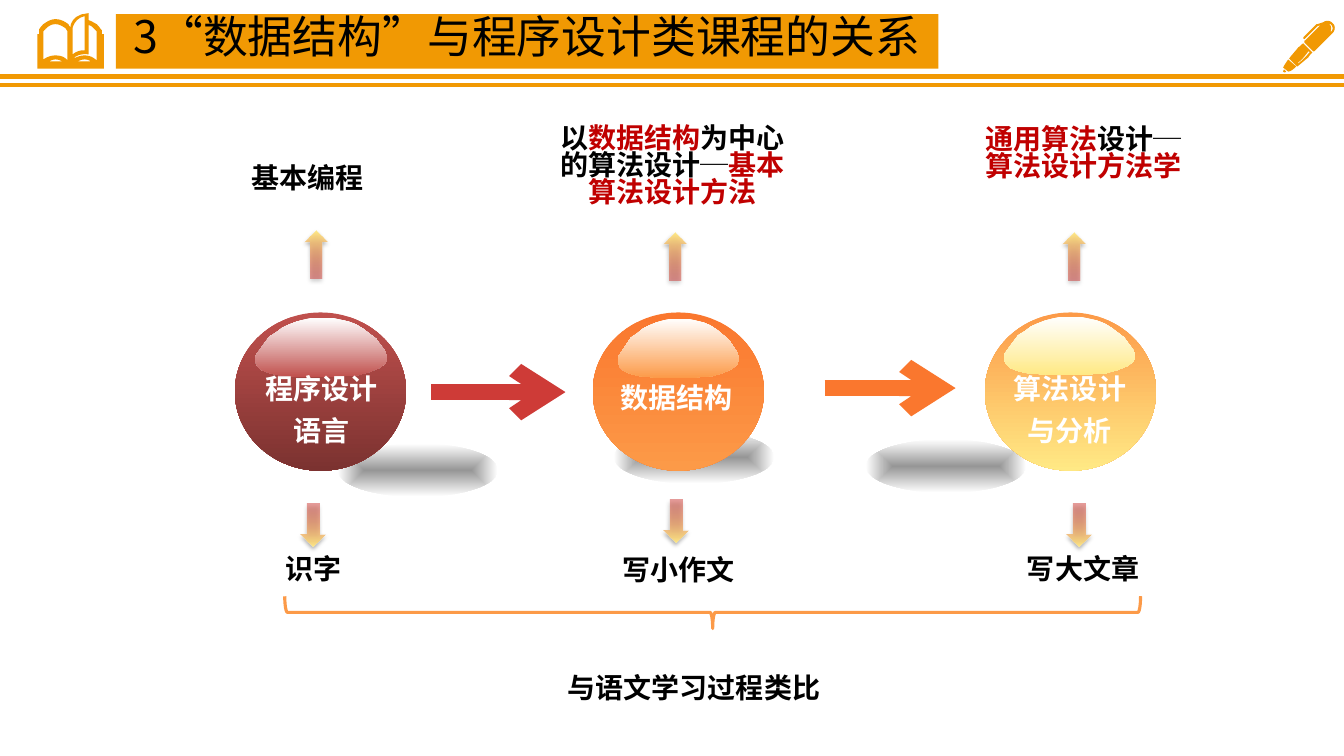
from dataclasses import dataclass

from lxml.etree import SubElement
from pptx import Presentation
from pptx.dml.color import RGBColor
from pptx.enum.shapes import MSO_CONNECTOR, MSO_SHAPE
from pptx.enum.text import MSO_ANCHOR, MSO_AUTO_SIZE, PP_ALIGN
from pptx.oxml import parse_xml
from pptx.oxml.ns import nsdecls, qn
from pptx.util import Emu, Pt

SCALE = 9144
FONT = "Noto Sans CJK SC"
ORANGE, BLACK, WHITE, RED = "F19903", "000000", "FFFFFF", "C00000"
CRIMSON, TANGERINE, APRICOT, LEMON = "CE3B37", "FA772E", "FC9A48", "FFE985"
BRICK, MAROON, GREY = "C0504D", "7B3230", "969696"
Rect = tuple[int, int, int, int]
Span = tuple[str, str]
Contour = list[tuple[int, ...]]


@dataclass
class Label:
    rect: Rect
    lines: list[list[Span]]
    spacing: int = 19
    outlined: bool = False


@dataclass
class Sphere:
    rect: Rect
    gloss: Rect
    top: str
    bottom: str
    shine: str


@dataclass
class Arrow:
    start: int
    end: int
    y: int
    colour: str
    width: float
    head: bool = False


PEN: list[Contour] = [
    [(1274, 69), (1276, 71), (1275, 72, 1274, 72, 1273, 71), (1273, 71, 1273, 70, 1274, 69)],
    [(1273, 67), (1278, 71), (1280, 71, 1283, 69, 1286, 66), (1278, 59), (1276, 62, 1274, 65, 1273, 67)],
    [(1293, 43), (1302, 52), (1301, 53, 1299, 55, 1298, 57), (1294, 60, 1291, 63, 1287, 66), (1279, 58),
     (1282, 54, 1285, 51, 1288, 47), (1290, 46, 1291, 44, 1293, 43)],
    [(1288, 62), (1287, 62, 1288, 63, 1288, 63), (1292, 60, 1296, 56, 1299, 52),
     (1300, 52, 1299, 51, 1298, 51), (1295, 55, 1292, 59, 1288, 62)],
    [(1322, 33), (1305, 50), (1305, 50, 1304, 51, 1303, 51), (1294, 42), (1294, 41, 1294, 40, 1295, 40),
     (1310, 25), (1307, 26), (1295, 38), (1294, 39, 1294, 39, 1293, 38), (1293, 38, 1293, 37, 1293, 37),
     (1306, 24), (1306, 24, 1307, 24, 1307, 24), (1313, 22), (1315, 20, 1320, 20, 1322, 23),
     (1325, 25, 1325, 30, 1322, 33)],
    [(1320, 24), (1319, 23, 1319, 24, 1319, 24), (1321, 26, 1321, 29, 1320, 31),
     (1320, 31, 1321, 32, 1321, 31), (1323, 29, 1322, 25, 1320, 24)],
]
BOOK: list[Contour] = [
    [(101, 34), (101, 30), (100, 29), (100, 29, 99, 27, 96, 24), (94, 23, 91, 21, 88, 20), (88, 13),
     (71, 14, 70, 26, 70, 26), (70, 27), (69, 26, 68, 25, 68, 24), (65, 22, 61, 19, 55, 19),
     (50, 19, 46, 22, 43, 24), (40, 27, 39, 29, 39, 29), (39, 34), (37, 34), (37, 68), (103, 68), (103, 34)],
    [(49, 61), (50, 60, 53, 59, 55, 59), (58, 59, 60, 60, 62, 61)],
    [(67, 60), (65, 57, 61, 55, 55, 55), (50, 55, 46, 57, 43, 59), (43, 31), (44, 30, 45, 29, 46, 28),
     (48, 26, 51, 24, 55, 24), (59, 24, 62, 26, 65, 28), (66, 29, 66, 30, 67, 31)],
    [(84, 16), (84, 50), (84, 50, 78, 49, 72, 54), (72, 28), (72, 28, 74, 18, 84, 16)],
    [(77, 61), (79, 60, 81, 59, 84, 59), (87, 59, 89, 60, 90, 61)],
    [(96, 60), (93, 57, 89, 55, 84, 55), (79, 55, 75, 57, 72, 59), (77, 52, 88, 54, 88, 54), (88, 25),
     (90, 25, 92, 27, 93, 28), (94, 29, 95, 30, 96, 31)],
]
GLOSS = [(118, 33), (120, 37), (120, 43), (118, 46), (113, 50), (104, 54), (94, 57), (81, 58), (72, 59),
         (43, 59), (32, 58), (21, 57), (13, 55), (6, 52), (2, 48), (0, 43), (1, 37), (5, 31), (9, 25),
         (13, 19), (19, 15), (25, 10), (31, 7), (38, 4), (45, 2), (53, 0), (69, 0), (77, 2), (85, 4),
         (92, 7), (98, 11), (104, 16), (110, 21), (114, 27)]

ARROW_LEFT_TOP_UP = [(302, 229), (658, 231), (1054, 231)]
ARROW_LEFT_TOP_DOWN = [(298, 500), (658, 496), (1058, 500)]
FLOOR_SHADOWS = [(609, 427), (859, 436), (335, 440)]
LABELS = [
    Label((219, 161, 172, 37), [[("基本编程", BLACK)]]),
    Label((542, 122, 250, 91), [[("以", BLACK), ("数据结构", RED), ("为中心的算法设计─", BLACK),
                                 ("基本算法设计方法", RED)]]),
    Label((966, 123, 218, 64), [[("通用算法", RED), ("设计─", BLACK), ("算法设计方法学", RED)]]),
    Label((257, 549, 109, 37), [[("识字", BLACK)]], outlined=True),
    Label((607, 550, 133, 37), [[("写小作文", BLACK)]], outlined=True),
    Label((1002, 549, 145, 37), [[("写大文章", BLACK)]], outlined=True),
    Label((536, 651, 305, 48), [[("与语文学习过程类比", BLACK)]], spacing=31),
    Label((243, 369, 153, 83), [[("程序设计", WHITE)], [("语言", WHITE)]], spacing=20),
    Label((982, 369, 159, 83), [[("算法设计", WHITE)], [("与分析", WHITE)]], spacing=20),
    Label((597, 380, 148, 37), [[("数据结构", WHITE)]]),
]
SPHERES = [
    Sphere((588, 310, 170, 157), (613, 316, 120, 59), TANGERINE, APRICOT, APRICOT),
    Sphere((233, 310, 170, 157), (253, 315, 131, 59), BRICK, MAROON, BRICK),
    Sphere((977, 310, 170, 157), (996, 314, 130, 58), APRICOT, LEMON, LEMON),
]
LINES = [
    Arrow(0, 1333, 76, ORANGE, 3),
    Arrow(0, 1333, 84, ORANGE, 3),
    Arrow(428, 561, 389, CRIMSON, 11.5, head=True),
    Arrow(818, 948, 385, TANGERINE, 11.5, head=True),
]


def px(value: float) -> Emu:
    return Emu(round(value * SCALE))


def rgb(colour: str) -> RGBColor:
    return RGBColor.from_string(colour)


def add_preset(page, kind: MSO_SHAPE, rect: Rect):
    shape = page.shapes.add_shape(kind, *map(px, rect))
    shape.shadow.inherit = False
    shape.fill.background()
    shape.line.fill.background()
    return shape


def set_gradient(shape, first: str, last: str, angle: int | None = 90, alpha: int = 100) -> None:
    direction = (f'<a:lin ang="{angle * 60000}" scaled="0"/>' if angle is not None else
                 '<a:path path="shape"><a:fillToRect l="50000" t="50000" r="50000" b="50000"/></a:path>')
    gradient = parse_xml(
        f'<a:gradFill {nsdecls("a")} rotWithShape="1"><a:gsLst>'
        f'<a:gs pos="0"><a:srgbClr val="{first}"><a:alpha val="{alpha * 1000}"/></a:srgbClr></a:gs>'
        f'<a:gs pos="100000"><a:srgbClr val="{last}"/></a:gs></a:gsLst>{direction}</a:gradFill>')
    shape.fill.background()
    properties = shape.element.spPr
    properties.replace(properties.find(qn("a:noFill")), gradient)


def add_small_arrow(page, kind: MSO_SHAPE, rect: Rect, angle: int) -> None:
    arrow = add_preset(page, kind, rect)
    set_gradient(arrow, CRIMSON, LEMON, angle, alpha=50)
    arrow.element.spPr.find(qn("a:effectLst")).append(parse_xml(
        f'<a:outerShdw {nsdecls("a")} blurRad="{Pt(3.1)}" dist="{Pt(1.8)}" dir="5400000" rotWithShape="0">'
        f'<a:srgbClr val="{BLACK}"><a:alpha val="35000"/></a:srgbClr></a:outerShdw>'))


def flatten(contour: Contour) -> list[tuple[float, float]]:
    points = [contour[0]]
    for segment in contour[1:]:
        if len(segment) == 2:
            points.append(segment)
            continue
        controls = [points[-1], segment[:2], segment[2:4], segment[4:]]
        for step in range(1, 7):
            t = step / 6
            weights = ((1 - t) ** 3, 3 * t * (1 - t) ** 2, 3 * t * t * (1 - t), t ** 3)
            points.append(tuple(sum(w * c[axis] for w, c in zip(weights, controls)) for axis in (0, 1)))
    return points


def add_outline(page, contours: list[Contour]):
    outlines = [[(px(x), px(y)) for x, y in flatten(contour)] for contour in contours]
    builder = page.shapes.build_freeform(*outlines[0][0])
    for index, points in enumerate(outlines):
        if index:
            builder.move_to(*points[0])
        builder.add_line_segments(points[1:], close=True)
    shape = builder.convert_to_shape()
    shape.shadow.inherit = False
    shape.line.fill.background()
    return shape


def write_text(box, lines: list[list[Span]], size: int, bold: bool, spacing: int, side: int) -> None:
    frame = box.text_frame
    frame.word_wrap = True
    frame.auto_size = MSO_AUTO_SIZE.NONE
    frame.vertical_anchor = MSO_ANCHOR.TOP
    frame.margin_left = frame.margin_right = px(side)
    frame.margin_top = frame.margin_bottom = px(5)
    for index, spans in enumerate(lines):
        para = frame.add_paragraph() if index else frame.paragraphs[0]
        para.alignment = PP_ALIGN.CENTER
        para.line_spacing = Pt(spacing)
        para.space_before = Pt(10 if index else 0)
        para.font.size, para.font.bold, para.font.name = Pt(size), bold, FONT
        SubElement(para.font._element, qn("a:ea"), typeface=FONT)
        for text, colour in spans:
            span = para.add_run()
            span.text = text
            span.font.color.rgb = rgb(colour)


def add_label(page, label: Label) -> None:
    if label.outlined:
        box = add_preset(page, MSO_SHAPE.RECTANGLE, label.rect)
        box.line.color.rgb = rgb(WHITE)
        box.line.width = Pt(0.75)
    else:
        box = page.shapes.add_textbox(*map(px, label.rect))
    write_text(box, label.lines, 20, True, label.spacing, 10)


def add_sphere(page, sphere: Sphere) -> None:
    set_gradient(add_preset(page, MSO_SHAPE.OVAL, sphere.rect), sphere.top, sphere.bottom)
    left, top, width, height = sphere.gloss
    gloss = add_outline(page, [[(left + x * width / 120, top + y * height / 59) for x, y in GLOSS]])
    set_gradient(gloss, WHITE, sphere.shine)


def add_line(page, arrow: Arrow) -> None:
    line = page.shapes.add_connector(MSO_CONNECTOR.STRAIGHT, px(arrow.start), px(arrow.y),
                                     px(arrow.end), px(arrow.y))
    line.line.color.rgb = rgb(arrow.colour)
    line.line.width = Pt(arrow.width)
    if arrow.head:
        SubElement(line.line._get_or_add_ln(), qn("a:tailEnd"), type="arrow")
    SubElement(line.element.spPr, qn("a:effectLst"))


def main() -> None:
    deck = Presentation()
    deck.slide_width, deck.slide_height = Emu(12192000), Emu(6858000)
    page = deck.slides.add_slide(deck.slide_layouts[5])
    title = page.shapes.title
    title.left, title.top, title.width, title.height = map(px, (115, 14, 816, 54))
    title.fill.solid()
    title.fill.fore_color.rgb = rgb(ORANGE)
    write_text(title, [[("3“数据结构”与程序设计类课程的关系", BLACK)]], 32, False, 31, 5)
    for icon in (PEN, BOOK):
        shape = add_outline(page, icon)
        shape.fill.solid()
        shape.fill.fore_color.rgb = rgb(ORANGE)
    for left, top in ARROW_LEFT_TOP_UP:
        add_small_arrow(page, MSO_SHAPE.UP_ARROW, (left, top, 23, 47), 270)
    for left, top in ARROW_LEFT_TOP_DOWN:
        add_small_arrow(page, MSO_SHAPE.DOWN_ARROW, (left, top, 25, 42), 90)
    brace = add_preset(page, MSO_SHAPE.LEFT_BRACE, (691, 183, 32, 849))
    brace.rotation = 270
    brace.line.color.rgb = rgb(APRICOT)
    brace.line.width = Pt(2.25)
    for left, top in FLOOR_SHADOWS:
        set_gradient(add_preset(page, MSO_SHAPE.OVAL, (left, top, 159, 53)), GREY, WHITE, None)
    for sphere in SPHERES:
        add_sphere(page, sphere)
    for arrow in LINES:
        add_line(page, arrow)
    for label in LABELS:
        add_label(page, label)
    deck.save("out.pptx")


if __name__ == "__main__":
    main()
